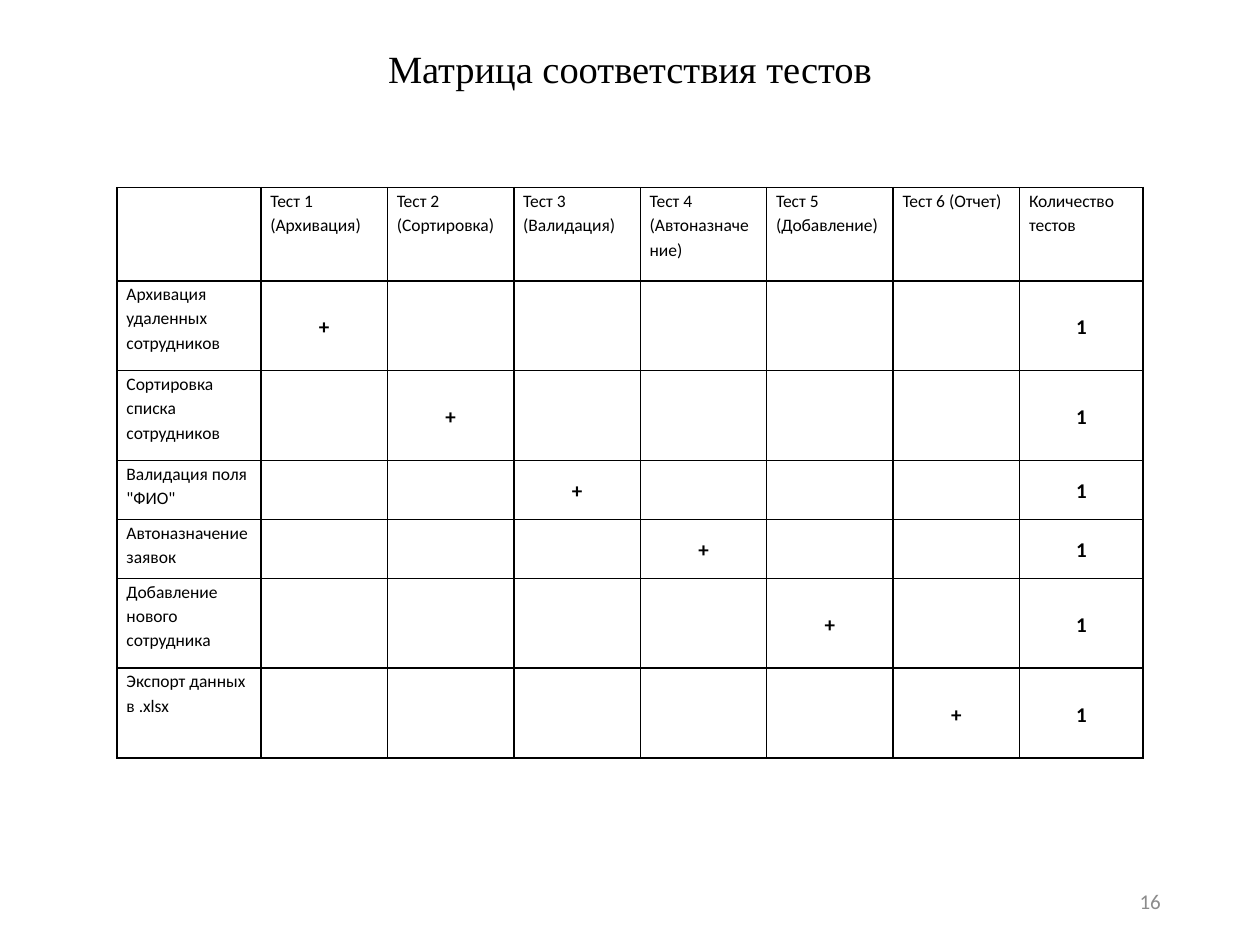
from dataclasses import dataclass

import pptx
import pptx.dml.color
import pptx.enum.text
import pptx.oxml
import pptx.oxml.ns
import pptx.table
import pptx.text.text
import pptx.util

Cm = pptx.util.Cm
Pt = pptx.util.Pt
Align = pptx.enum.text.PP_ALIGN
Anchor = pptx.enum.text.MSO_ANCHOR

BLACK = pptx.dml.color.RGBColor(0x00, 0x00, 0x00)
GRAY = pptx.dml.color.RGBColor(0x8C, 0x8C, 0x8C)


@dataclass(frozen=True)
class TextStyle:
    size: float
    align: Align = Align.LEFT
    anchor: Anchor = Anchor.TOP
    bold: bool = False
    font: str = "Calibri"
    color: pptx.dml.color.RGBColor = BLACK


@dataclass(frozen=True)
class Requirement:
    name: str
    height: float
    test: int  # column of the test that covers it


TITLE = TextStyle(22, Align.CENTER, Anchor.MIDDLE, font="Times New Roman")
LABEL = TextStyle(10)
MARK = TextStyle(12, Align.CENTER, Anchor.MIDDLE, bold=True)
PAGE_NUMBER = TextStyle(12, Align.RIGHT, Anchor.MIDDLE, color=GRAY)

HEADERS = [
    "",
    "Тест 1 (Архивация)",
    "Тест 2 (Сортировка)",
    "Тест 3 (Валидация)",
    "Тест 4 (Автоназначение)",
    "Тест 5 (Добавление)",
    "Тест 6 (Отчет)",
    "Количество тестов",
]
REQUIREMENTS = [
    Requirement("Архивация удаленных сотрудников", 1.81, 1),
    Requirement("Сортировка списка сотрудников", 1.81, 2),
    Requirement('Валидация поля "ФИО"', 1.19, 3),
    Requirement("Автоназначение заявок", 1.19, 4),
    Requirement("Добавление нового сотрудника", 1.81, 5),
    Requirement("Экспорт данных в .xlsx", 1.81, 6),
]
HEADER_HEIGHT = 1.88
COLUMN_WIDTHS = [2.9] + [2.55] * 6 + [2.49]


def write(paragraph: pptx.text.text._Paragraph, text: str, style: TextStyle) -> None:
    paragraph.alignment = style.align
    run = paragraph.add_run()
    run.text = text
    run.font.name = style.font
    run.font.size = Pt(style.size)
    run.font.bold = style.bold
    run.font.color.rgb = style.color


def add_borders(cell: pptx.table._Cell) -> None:
    properties = cell._tc.get_or_add_tcPr()
    for side in ("lnL", "lnR", "lnT", "lnB"):
        properties.append(pptx.oxml.parse_xml(
            f'<a:{side} {pptx.oxml.ns.nsdecls("a")} w="{Pt(1)}">'
            f'<a:solidFill><a:srgbClr val="{BLACK}"/></a:solidFill></a:{side}>'
        ))


def fill_cell(cell: pptx.table._Cell, text: str, style: TextStyle) -> None:
    cell.margin_left = cell.margin_right = Cm(0.19)
    cell.margin_top = cell.margin_bottom = 0
    cell.vertical_anchor = style.anchor
    add_borders(cell)
    cell.fill.background()
    if text:
        paragraph = cell.text_frame.paragraphs[0]
        paragraph.line_spacing = 1.15
        paragraph.space_after = Pt(10)
        write(paragraph, text, style)


def main() -> None:
    presentation = pptx.Presentation()
    presentation.slide_width = Cm(25.4)
    presentation.slide_height = Cm(19.05)
    slide = presentation.slides.add_slide(presentation.slide_layouts[5])

    # Title
    title = slide.shapes.title
    title.left, title.top, title.width, title.height = Cm(1.75), Cm(0.53), Cm(21.9), Cm(1.8)
    title.text_frame.vertical_anchor = TITLE.anchor
    title_paragraph = title.text_frame.paragraphs[0]
    title_paragraph.line_spacing = 0.9
    write(title_paragraph, "Матрица соответствия тестов", TITLE)

    # Matrix of requirements and tests
    row_heights = [HEADER_HEIGHT] + [requirement.height for requirement in REQUIREMENTS]
    table = slide.shapes.add_table(
        len(row_heights), len(HEADERS), Cm(2.36), Cm(3.78),
        Cm(sum(COLUMN_WIDTHS)), Cm(sum(row_heights)),
    ).table
    table.first_row = table.horz_banding = False
    for column, width in zip(table.columns, COLUMN_WIDTHS):
        column.width = Cm(width)
    for row, height in zip(table.rows, row_heights):
        row.height = Cm(height)

    for column_index, header in enumerate(HEADERS):
        fill_cell(table.cell(0, column_index), header, LABEL)
    last_column = len(HEADERS) - 1
    for row_index, requirement in enumerate(REQUIREMENTS, start=1):
        fill_cell(table.cell(row_index, 0), requirement.name, LABEL)
        marks = {requirement.test: "+", last_column: "1"}
        for column_index in range(1, len(HEADERS)):
            fill_cell(table.cell(row_index, column_index), marks.get(column_index, ""), MARK)

    # Page number
    number_box = slide.shapes.add_textbox(Cm(17.93), Cm(17.65), Cm(5.72), Cm(1.02))
    number_box.text_frame.word_wrap = True
    number_box.text_frame.vertical_anchor = PAGE_NUMBER.anchor
    write(number_box.text_frame.paragraphs[0], "16", PAGE_NUMBER)

    presentation.save("out.pptx")


if __name__ == "__main__":
    main()
